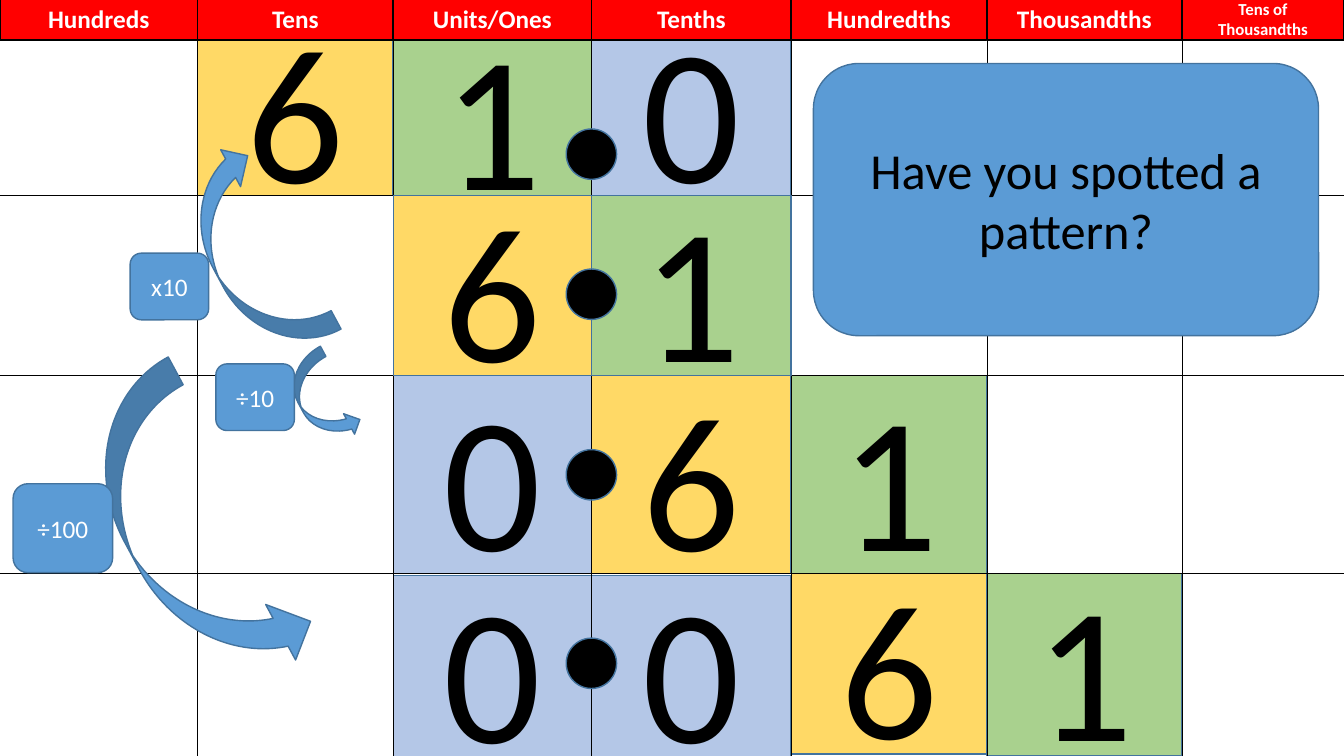
import pptx
import pptx.util
import pptx.dml.color
import pptx.enum.shapes
import pptx.enum.text
from lxml import etree

Cm = pptx.util.Cm
Pt = pptx.util.Pt
KIND = pptx.enum.shapes.MSO_SHAPE

WIDE, HIGH = 33.87, 19.05
COLS = [0, 4.98, 9.91, 14.91, 19.94, 24.87, 29.79, WIDE]
ROWS = [0.43, 4.93, 9.47, 14.45, HIGH]
HEADS = ["Hundreds", "Tens", "Units/Ones", "Tenths", "Hundredths",
         "Thousandths", "Tens of Thousandths"]
POINTS = [3.25, 6.78, 11.33, 16.08]
BLUE, EDGE = "5B9BD5", "43739E"
GOLD, GREEN, PALE = "FFD966", "A9D18E", "B4C7E7"
TINTS = {"6": GOLD, "1": GREEN, "0": PALE}

# Each row: first column, digits, and how far each digit drops in its cell
NUMBERS = [
    (1, "610", [0, 0.18, 0]),
    (2, "61", [0, 0]),
    (2, "061", [0, 0, 0]),
    (2, "0061", [0.05, 0.05, -0.05, 0]),
]


def color(code):
    return pptx.dml.color.RGBColor.from_string(code)


def shape(slide, kind, box, fill, edge=EDGE):
    item = slide.shapes.add_shape(kind, *[Cm(side) for side in box])
    item.shadow.inherit = False
    item.fill.solid()
    item.fill.fore_color.rgb = color(fill)
    item.line.color.rgb = color(edge)
    item.line.width = Pt(1)
    return item


def label(item, text, size, ink, bold=False):
    frame = item.text_frame
    frame.word_wrap = True
    frame.vertical_anchor = pptx.enum.text.MSO_ANCHOR.MIDDLE
    para = frame.paragraphs[0]
    para.text = text
    para.alignment = pptx.enum.text.PP_ALIGN.CENTER
    para.font.name = "Calibri"
    para.font.size = Pt(size)
    para.font.bold = bold
    para.font.color.rgb = color(ink)


def rule(slide, x1, y1, x2, y2):
    line = slide.shapes.add_connector(
        pptx.enum.shapes.MSO_CONNECTOR.STRAIGHT, Cm(x1), Cm(y1), Cm(x2), Cm(y2))
    line.line.color.rgb = color("000000")
    line.line.width = Pt(0.5)
    etree.SubElement(line.element.spPr, pptx.oxml.ns.qn("a:effectLst"))


def number(slide, left, top, height, start, digits, drops):
    """Fill one row of the board with coloured digit cells."""
    for col, (digit, drop) in enumerate(zip(digits, drops), start):
        box = (left + COLS[col], top + drop, COLS[col + 1] - COLS[col], height)
        label(shape(slide, KIND.RECTANGLE, box, TINTS[digit]), digit, 138, "000000")


def grid(slide, left, top, width, height):
    for y in ROWS[1:-1]:
        rule(slide, left, top + y, left + width, top + y)
    for x in COLS[1:-1]:
        rule(slide, left + x, top, left + x, top + height)


def board(slide, left, top, width, height):
    """Draw the digits, the grid lines and the decimal points."""
    def fill(row):
        number(slide, left, top + ROWS[row], ROWS[row + 1] - ROWS[row], *NUMBERS[row])

    for row in (3, 2, 0):
        fill(row)
    grid(slide, left, top, width, height)
    fill(1)
    for y in POINTS:
        box = (left + COLS[3] - 0.64, top + y, 1.27, 1.27)
        shape(slide, KIND.OVAL, box, "000000")


def header(slide, left, top, height):
    for col, text in enumerate(HEADS):
        box = (left + COLS[col], top, COLS[col + 1] - COLS[col], height)
        cell = shape(slide, KIND.RECTANGLE, box, "FF0000", "000000")
        label(cell, text, 12 if text == HEADS[-1] else 18, "FFFFFF", True)


def step(slide, left, top, width, height, text, tag, flips):
    """Draw a curved arrow, with a tag placed relative to the arrow's box."""
    arrow = shape(slide, KIND.CURVED_RIGHT_ARROW, (left, top, width, height), BLUE)
    arrow.rotation = 151.7
    for flip in flips:
        arrow.element.spPr.xfrm.set(flip, "1")
    dx, dy, wide, high = tag
    box = (left + dx, top + dy, wide, high)
    label(shape(slide, KIND.ROUNDED_RECTANGLE, box, BLUE), text, 18, "FFFFFF")


def callout(slide, left, top, width, height):
    box = (left, top, width, height)
    label(shape(slide, KIND.ROUNDED_RECTANGLE, box, BLUE),
          "Have you spotted a pattern?", 36, "000000")


def main():
    deck = pptx.Presentation()
    deck.slide_width, deck.slide_height = Cm(WIDE), Cm(HIGH)
    slide = deck.slides.add_slide(deck.slide_layouts[6])
    board(slide, 0, 0, WIDE, HIGH)
    header(slide, 0, -0.06, 1.07)
    both = ["flipH", "flipV"]
    step(slide, 5.31, 3.63, 2.11, 5.49, "x10", (-2.03, 2.75, 1.98, 1.68), ["flipH"])
    step(slide, 7.54, 8.86, 1.17, 2.39, "÷10", (-2.1, 0.31, 1.98, 1.68), both)
    step(slide, 3.23, 9.25, 3.18, 8.36, "÷100", (-2.9, 2.94, 2.51, 2.24), both)
    callout(slide, 20.5, 1.6, 12.73, 6.86)
    deck.save("out.pptx")


if __name__ == "__main__":
    main()
